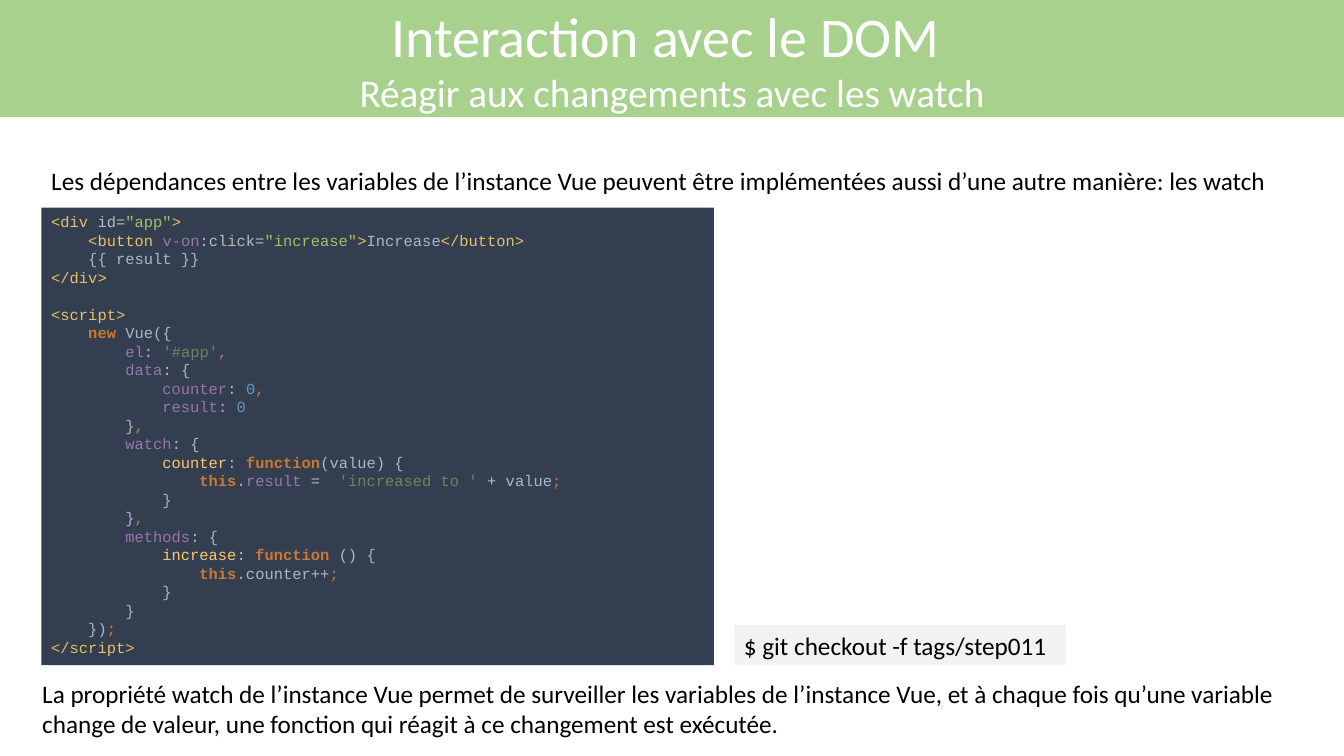
from lxml import etree
from pptx import Presentation
from pptx.dml.color import RGBColor
from pptx.enum import shapes, text
from pptx.oxml.ns import qn
from pptx.util import Inches, Pt

COLORS = {
    "banner": "A9D18E", "editor": "333F50", "terminal": "F2F2F2",
    "white": "FFFFFF", "black": "000000",
    "tag": "E8BF6A", "attr": "BABABA", "value": "A5C261", "prop": "9876AA",
    "plain": "A9B7C6", "key": "CC7832", "punct": "CC7832",
    "string": "6A8759", "number": "6897BB", "method": "FFC66D",
}

# Content
TITLE = [("Interaction avec le DOM ", 40), ("Réagir aux changements avec les watch", 28)]
INTRO = ("Les dépendances entre les variables de l’instance Vue peuvent être "
         "implémentées aussi d’une autre manière: les watch")
SUMMARY = ("La propriété watch de l’instance Vue permet de surveiller les variables de "
           "l’instance Vue, et à chaque fois qu’une variable change de valeur, une "
           "fonction qui réagit à ce changement est exécutée.")
COMMAND = "$ git checkout -f tags/step011"

# Code: one list per line, each part is (role, text)
CODE = [
    [("tag", "<div "), ("attr", "id="), ("value", '"app"'), ("tag", ">")],
    [("tag", "    <button "), ("prop", "v-on"), ("attr", ":click="),
     ("value", '"increase"'), ("tag", ">"), ("plain", "Increase"), ("tag", "</button>")],
    [("plain", "    {{ result }}")],
    [("tag", "</div>")],
    [],
    [("tag", "<script>")],
    [("key", "    new "), ("plain", "Vue({")],
    [("prop", "        el"), ("plain", ": "), ("string", "'#app'"), ("punct", ",")],
    [("prop", "        data"), ("plain", ": {")],
    [("prop", "            counter"), ("plain", ": "), ("number", "0"), ("punct", ",")],
    [("prop", "            result"), ("plain", ": "), ("number", "0")],
    [("plain", "        }"), ("punct", ",")],
    [("prop", "        watch"), ("plain", ": {")],
    [("method", "            counter"), ("plain", ": "), ("key", "function"),
     ("plain", "(value) {")],
    [("key", "                this"), ("plain", "."), ("prop", "result "),
     ("plain", "=  "), ("string", "'increased to ' "), ("plain", "+ value"), ("punct", ";")],
    [("plain", "            }")],
    [("plain", "        }"), ("punct", ",")],
    [("prop", "        methods"), ("plain", ": {")],
    [("method", "            increase"), ("plain", ": "), ("key", "function "),
     ("plain", "() {")],
    [("key", "                this"), ("plain", ".counter++"), ("punct", ";")],
    [("plain", "            }")],
    [("plain", "        }")],
    [("plain", "    })"), ("punct", ";")],
    [("tag", "</script>")],
]
CODE_SIZE = 11


def rgb(name):
    return RGBColor.from_string(COLORS[name])


def add_box(s, left, top, width, height, fill=None):
    """Add a filled rectangle, or a text box without fill; return its text frame."""
    at = [Inches(v) for v in (left, top, width, height)]
    if fill:
        sp = s.shapes.add_shape(shapes.MSO_SHAPE.RECTANGLE, *at)
        sp.shadow.inherit = False
        sp.fill.solid()
        sp.fill.fore_color.rgb = rgb(fill)
        sp.line.fill.background()
    else:
        sp = s.shapes.add_textbox(*at)
    tf = sp.text_frame
    tf.word_wrap = True
    tf.vertical_anchor = text.MSO_ANCHOR.TOP
    return tf


def write(p, content, size, color="black", align=text.PP_ALIGN.LEFT):
    p.text = content
    p.alignment = align
    p.font.name = "Calibri"
    p.font.size = Pt(size)
    p.font.color.rgb = rgb(color)


def write_code(p):
    p.alignment = text.PP_ALIGN.LEFT
    p.font.name = "Courier New"
    p.font.size = Pt(CODE_SIZE)
    for i, line in enumerate(CODE):
        if i:
            p.add_line_break()
            etree.SubElement(p._p[-1], qn("a:rPr"), sz=str(CODE_SIZE * 100))
        for role, part in line:
            r = p.add_run()
            r.text = part
            r.font.color.rgb = rgb(role)
            r.font.bold = role == "key"


def main():
    prs = Presentation()
    prs.slide_width, prs.slide_height = Inches(13.33), Inches(7.5)
    s = prs.slides.add_slide(prs.slide_layouts[6])

    # Title banner
    tf = add_box(s, 0, 0, 13.33, 1.16, "banner")
    tf.vertical_anchor = text.MSO_ANCHOR.MIDDLE
    for i, (line, size) in enumerate(TITLE):
        p = tf.add_paragraph() if i else tf.paragraphs[0]
        write(p, line, size, "white", text.PP_ALIGN.CENTER)

    # Code panel
    write_code(add_box(s, 0.41, 2.06, 6.67, 4.54, "editor").paragraphs[0])

    # Sentences and command
    for content, at, fill in [
        (INTRO, (0.41, 1.59, 12.51, 0.4), None),
        (SUMMARY, (0.32, 6.68, 12.68, 0.71), None),
        (COMMAND, (7.28, 6.2, 3.29, 0.4), "terminal"),
    ]:
        write(add_box(s, *at, fill).paragraphs[0], content, 18)

    prs.save("out.pptx")


if __name__ == "__main__":
    main()
